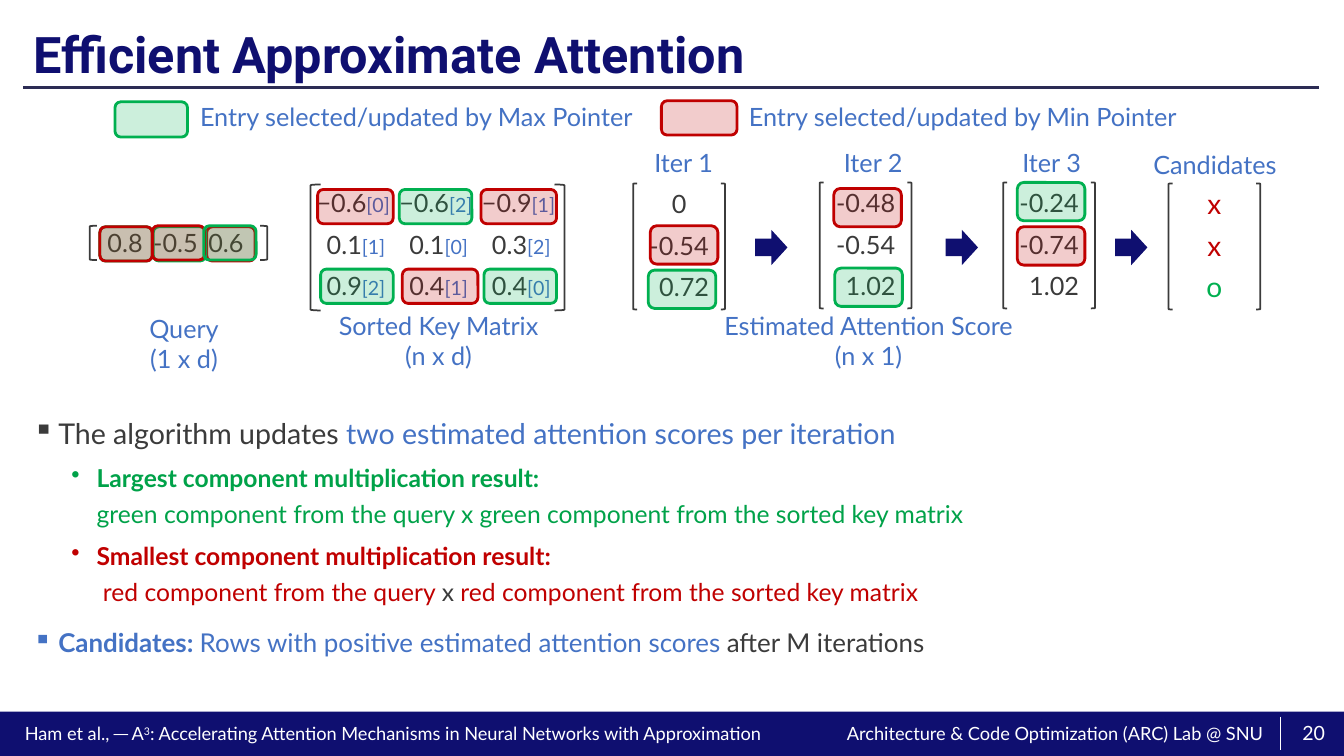
from lxml import etree
from pptx import Presentation
from pptx import util as u
from pptx.dml.color import RGBColor
from pptx.enum import shapes, text
from pptx.oxml.ns import qn

PX = 9144  # 100 px to the inch
COLORS = {"navy": "0F0F70", "rule": "2C2C54", "ink": "3B3B3B", "blue": "4472C4",
          "max": "00B050", "min": "C00000", "green": "00A249", "white": "FFFFFF"}
NO_STYLE_TABLE = "{2D5ABB26-0587-4C30-8999-92F81FD0307C}"
SHAPE = shapes.MSO_SHAPE
LEFT, CENTER = text.PP_ALIGN.LEFT, text.PP_ALIGN.CENTER


def px(n):
    return u.Emu(n * PX)


def rgb(name):
    return RGBColor.from_string(COLORS[name])


class Board:
    """Holds the slide and its text style."""

    def __init__(self, slide, font="Lato", size=18, color="blue"):
        self.slide, self.font, self.size, self.color = slide, font, size, color

    def style(self, r, size=None, color=None, bold=False, font=None, sup=False):
        r.font.name = font or self.font
        r.font.size = u.Pt(size or self.size)
        r.font.bold = bold
        r.font.color.rgb = rgb(color or self.color)
        if sup:
            r.font._element.set("baseline", "30000")

    def runs(self, p, parts, **base):
        """Fill a paragraph from strings or (string, style) pairs; "\\v" breaks the line."""
        for part in [parts] if isinstance(parts, str) else parts:
            words, own = (part, {}) if isinstance(part, str) else part
            if words == "\v":
                p.add_line_break()
                continue
            r = p.add_run()
            r.text = words
            self.style(r, **{**base, **own})

    def text(self, x, y, w, h, paras, align=CENTER, inset=(0, 0),
             anchor=text.MSO_ANCHOR.TOP, spacing=None, **base):
        tf = self.slide.shapes.add_textbox(px(x), px(y), px(w), px(h)).text_frame
        tf.word_wrap = True
        tf.vertical_anchor = anchor
        tf.margin_left = tf.margin_right = px(inset[0])
        tf.margin_top = tf.margin_bottom = px(inset[1])
        for i, parts in enumerate(paras):
            p = tf.add_paragraph() if i else tf.paragraphs[0]
            p.alignment = align
            if spacing:
                p.line_spacing = spacing
            self.runs(p, parts, **base)
        return tf

    def bullet(self, p, char, margin, before):
        pPr = p._p.get_or_add_pPr()
        pPr.set("marL", str(px(margin)))
        pPr.set("indent", str(px(-25)))
        etree.SubElement(pPr, qn("a:buChar")).set("char", char)
        p.space_before = u.Pt(before)

    def shape(self, kind, x, y, w, h, fill=None, line=None, width=2, alpha=None):
        sp = self.slide.shapes.add_shape(kind, px(x), px(y), px(w), px(h))
        sp.shadow.inherit = False
        if fill:
            sp.fill.solid()
            sp.fill.fore_color.rgb = rgb(fill)
            if alpha:
                clr = sp._element.spPr.find(".//" + qn("a:srgbClr"))
                etree.SubElement(clr, qn("a:alpha")).set("val", str(alpha * 1000))
        else:
            sp.fill.background()
        if line:
            sp.line.color.rgb = rgb(line)
            sp.line.width = u.Pt(width)
        else:
            sp.line.fill.background()

    def mark(self, color, x, y, w, h):
        self.shape(SHAPE.ROUNDED_RECTANGLE, x, y, w, h, color, color, alpha=20)

    def brackets(self, x, y, span, h, w):
        self.shape(SHAPE.LEFT_BRACKET, x, y, w, h, line="ink", width=1.25)
        self.shape(SHAPE.RIGHT_BRACKET, x + span - w, y, w, h, line="ink", width=1.25)

    def line(self, x1, y1, x2, y2, color, width):
        c = self.slide.shapes.add_connector(shapes.MSO_CONNECTOR.STRAIGHT,
                                            px(x1), px(y1), px(x2), px(y2))
        c.line.color.rgb = rgb(color)
        c.line.width = u.Pt(width)
        etree.SubElement(c._element.spPr, qn("a:effectLst"))

    def matrix(self, x, y, col, row, rows, align=CENTER, **base):
        """Rows hold (left margin, text parts) for each cell."""
        t = self.slide.shapes.add_table(len(rows), len(rows[0]), px(x), px(y),
                                        px(col * len(rows[0])), px(row * len(rows))).table
        t.first_row = t.horz_banding = False
        t._tbl.tblPr[0].text = NO_STYLE_TABLE
        for c in t.columns:
            c.width = px(col)
        for i, cells in enumerate(rows):
            for j, (margin, parts) in enumerate(cells):
                cell = t.cell(i, j)
                cell.fill.background()
                cell.vertical_anchor = text.MSO_ANCHOR.MIDDLE
                cell.margin_left = px(margin)
                cell.margin_right = cell.margin_top = cell.margin_bottom = 0
                p = cell.text_frame.paragraphs[0]
                p.alignment = align
                self.runs(p, parts, **base)


def frame(b):
    # Footer band
    b.shape(SHAPE.RECTANGLE, 0, 706, 1333, 44, "navy")
    b.text(840, 717, 432, 22, ["Architecture & Code Optimization (ARC) Lab @ SNU"],
           LEFT, size=13, color="white")
    b.text(7, 717, 765, 22, [["Ham et al., ─ A", ("3", {"sup": True}),
           ": Accelerating Attention Mechanisms in Neural Networks with Approximation"]],
           size=13, color="white")
    b.line(1270, 711, 1270, 744, "white", 0.5)
    b.text(1279, 707, 48, 40, ["20"], anchor=text.MSO_ANCHOR.MIDDLE, size=14, color="white")
    # Title and rule
    b.line(23, 87, 1308, 87, "rule", 2)
    b.text(23, 18, 1286, 77, ["Efficient Approximate Attention"], LEFT, (10, 5),
           text.MSO_ANCHOR.MIDDLE, 0.9, size=36, color="navy", bold=True, font="Roboto")


def legend(b):
    b.mark("max", 114, 101, 72, 35)
    b.mark("min", 656, 100, 75, 34)
    for x, name in ((140, "Max"), (682, "Min")):
        b.text(x, 101, 546, 30, [f"Entry selected/updated by {name} Pointer"])


def query(b):
    b.matrix(99, 219, 50, 43, [[(0, v) for v in ("0.8", "-0.5", "0.6")]], color="ink")
    b.brackets(89, 224, 176, 34, 7)
    for color, x, y, w in (("max", 99, 225, 52), ("min", 205, 225, 48), ("max", 152, 225, 52),
                           ("min", 99, 225, 52), ("min", 151, 224, 52), ("max", 202, 224, 52)):
        b.mark(color, x, y, w, 34)
    b.text(129, 311, 107, 61, ["Query", "(1 x d)"])


def sorted_keys(b):
    keys = [[("−0.6", 0), ("−0.6", 2), ("−0.9", 1)],
            [("0.1", 1), ("0.1", 0), ("0.3", 2)],
            [("0.9", 2), ("0.4", 1), ("0.4", 0)]]
    b.matrix(314, 181, 82, 41,
             [[(10 if i else 0, [v, (f"[{n}]", {"size": 14, "color": "blue"})])
               for v, n in row] for i, row in enumerate(keys)], LEFT, color="ink")
    b.brackets(308, 183, 252, 125, 10)
    for y, row in ((188, ("min", "max", "min")), (267, ("max", "min", "max"))):
        for j, color in enumerate(row):
            x = (315 if y == 188 else 318) + 81 * j
            b.mark(color, x, y, 75 if color == "min" else 72, 34)
    b.text(326, 308, 218, 61, ["Sorted Key Matrix", "(n x d)"])


def iterations(b):
    # Column: bracket left, top, label left, label top, label, values, marks (colour, x, y)
    columns = [
        (628, 182, 562, 146, "Iter 1", ("0", "-0.54", "0.72"),
         (("max", 643, 268), ("min", 645, 224))),
        (813, 181, 750, 146, "Iter 2", ("-0.48", "-0.54", "1.02"),
         (("max", 828, 266), ("min", 827, 187))),
        (995, 181, 927, 146, "Iter 3", ("-0.24", "-0.74", "1.02"),
         (("max", 1009, 181), ("min", 1009, 225))),
        (1159, 182, 1089, 148, "Candidates", ("x", "x", "o"), ()),
    ]
    for x, y, label_x, label_y, label, values, marks in columns:
        verdict = label == "Candidates"
        tint = {"x": "min", "o": "max"}
        rows = [[(15 if i == 2 and not verdict else 5, [(v, {"color": tint.get(v, "ink")})])]
                for i, v in enumerate(values)]
        b.matrix(x + 1, y, 84, 41, rows, size=20 if verdict else 18)
        b.brackets(x, y, 91, 125, 4)
        b.text(label_x, label_y, 232, 30, [label])
        for color, mx, my in marks:
            b.mark(color, mx, my, 67, 38)
    for x in (749, 938, 1106):
        b.shape(SHAPE.RIGHT_ARROW, x, 228, 32, 35, "navy")
    b.text(630, 308, 463, 61, ["Estimated Attention Score", "(n x 1)"])


def explanation(b):
    bold, ink = {"bold": True}, {"color": "ink"}
    main, green, red, last = ({"size": s, "color": c} for s, c in (
        (20.4, "ink"), (17.6, "green"), (17.6, "min"), (18.5, "blue")))
    points = [
        ("▪", 25, 0, main, ["The algorithm updates ",
         ("two estimated attention scores per iteration", {"color": "blue"})]),
        ("•", 63, 5, green, [("Largest component multiplication result:", bold), "\v",
         "green component from the query x green component from the sorted key matrix"]),
        ("•", 63, 5, red, [("Smallest component multiplication result:", bold), "\v",
         " red component from the query ", ("x ", ink),
         "red component from the sorted key matrix"]),
        ("▪", 25, 10, last, [("Candidates: ", bold),
         "Rows with positive estimated attention scores ", ("after M iterations", ink)]),
    ]
    tf = b.text(23, 401, 1286, 263, [[] for _ in points], LEFT, (10, 5))
    for p, (char, margin, before, base, parts) in zip(tf.paragraphs, points):
        b.bullet(p, char, margin, before)
        p.line_spacing = 1.2
        b.runs(p, parts, **base)


def main():
    prs = Presentation()
    prs.slide_width, prs.slide_height = px(1333), px(750)
    s = prs.slides.add_slide(prs.slide_layouts[6])
    b = Board(s)
    for part in (frame, legend, query, sorted_keys, iterations, explanation):
        part(b)
    prs.save("out.pptx")


if __name__ == "__main__":
    main()
